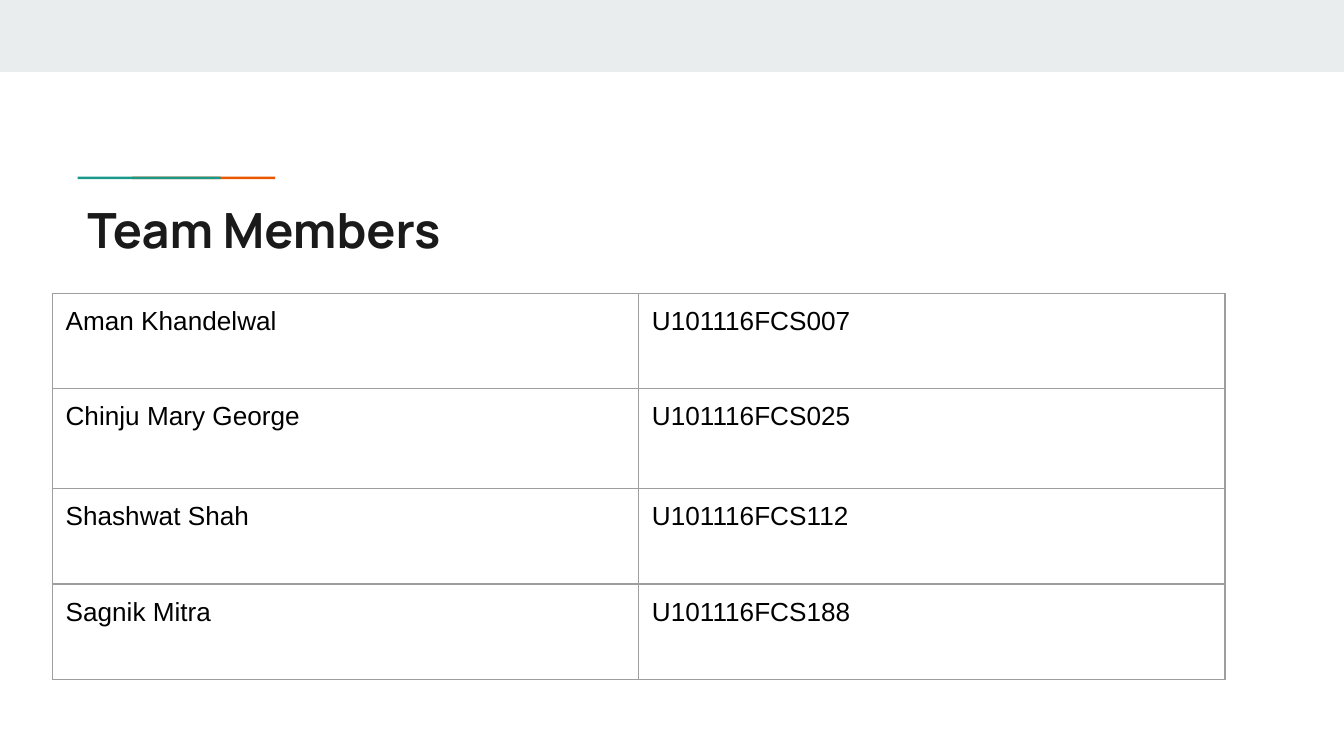
from lxml.etree import SubElement
from pptx import Presentation
from pptx.dml.color import RGBColor
from pptx.enum.shapes import MSO_SHAPE
from pptx.enum.text import MSO_ANCHOR
from pptx.oxml.ns import qn
from pptx.util import Cm, Pt

PALE_GREY = RGBColor(0xE9, 0xED, 0xEE)
TEAL = RGBColor(0x1A, 0x99, 0x88)
ORANGE = RGBColor(0xEB, 0x56, 0x00)
INK = RGBColor(0x1A, 0x1A, 0x1A)
BLACK = RGBColor(0, 0, 0)
BORDER_GREY = RGBColor(0x9E, 0x9E, 0x9E)
INSET = Cm(0.25)

members = [
    ("Aman Khandelwal", "U101116FCS007"),
    ("Chinju Mary George", "U101116FCS025"),
    ("Shashwat Shah", "U101116FCS112"),
    ("Sagnik Mitra", "U101116FCS188"),
]
row_heights = [1.8, 1.89, 1.8, 1.81]


def style_text(frame, font_name, size, color, bold=False):
    font = frame.paragraphs[0].runs[0].font
    font.name = font_name
    font.size = Pt(size)
    font.bold = bold
    font.color.rgb = color


def add_borders(cell):
    properties = cell._tc.get_or_add_tcPr()
    for side in ("lnL", "lnR", "lnT", "lnB"):
        line = SubElement(properties, qn(f"a:{side}"), w=str(Pt(0.75)))
        fill = SubElement(line, qn("a:solidFill"))
        SubElement(fill, qn("a:srgbClr"), val=str(BORDER_GREY))


prs = Presentation()
prs.slide_width, prs.slide_height = Cm(25.4), Cm(14.29)
slide = prs.slides.add_slide(prs.slide_layouts[6])

# Top band, then the accent line: teal overlaps the left part of orange
for left, top, width, height, color in [
    (0, 0, 25.4, 1.36, PALE_GREY),
    (2.5, 3.34, 2.7, 0.05, ORANGE),
    (1.47, 3.34, 2.7, 0.05, TEAL),
]:
    bar = slide.shapes.add_shape(
        MSO_SHAPE.RECTANGLE, Cm(left), Cm(top), Cm(width), Cm(height))
    bar.shadow.inherit = False
    bar.fill.solid()
    bar.fill.fore_color.rgb = color
    bar.line.fill.background()

# Title
title = slide.shapes.add_textbox(Cm(1.4), Cm(3.54), Cm(21.36), Cm(1.5)).text_frame
title.word_wrap = True
title.vertical_anchor = MSO_ANCHOR.TOP
title.margin_left = title.margin_right = INSET
title.margin_top = title.margin_bottom = INSET
title.text = "Team Members"
style_text(title, "Manrope", 26, INK, bold=True)

# Member table
roster = slide.shapes.add_table(
    len(members), 2, Cm(0.99), Cm(5.55), Cm(22.16), Cm(sum(row_heights))).table
roster.first_row = False
roster.horz_banding = False
for column in roster.columns:
    column.width = Cm(11.08)
for row, height, member in zip(roster.rows, row_heights, members):
    row.height = Cm(height)
    for cell, value in zip(row.cells, member):
        cell.margin_left = cell.margin_right = INSET
        cell.margin_top = cell.margin_bottom = INSET
        add_borders(cell)
        cell.fill.background()
        cell.text_frame.text = value
        style_text(cell.text_frame, "Arial", 14, BLACK)

prs.save("out.pptx")
